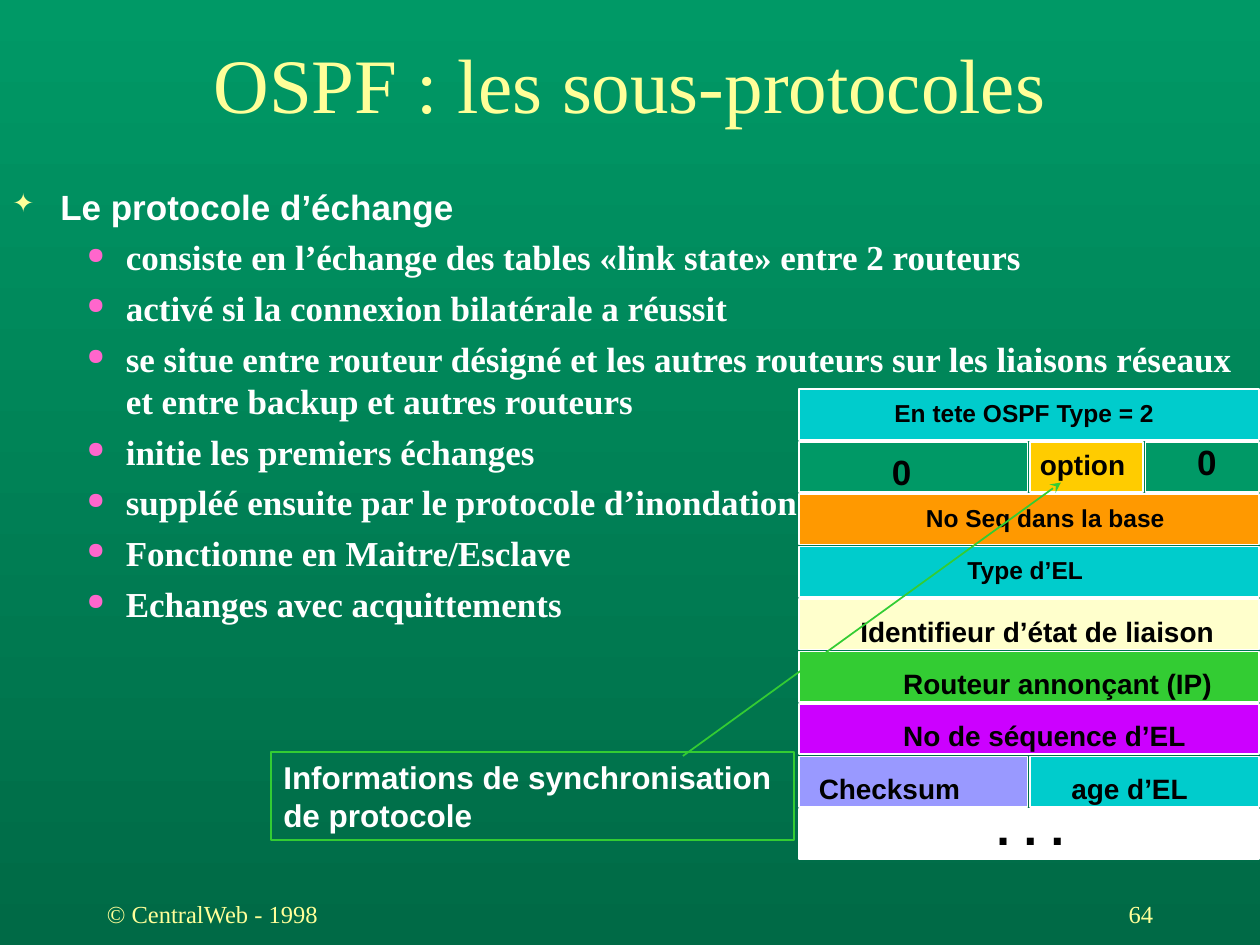
from dataclasses import dataclass

from lxml import etree
from pptx import Presentation
from pptx.dml.color import RGBColor
from pptx.enum.shapes import MSO_CONNECTOR, MSO_SHAPE
from pptx.enum.text import MSO_ANCHOR, PP_ALIGN
from pptx.oxml.ns import qn
from pptx.util import Inches, Pt

RECTANGLE = MSO_SHAPE.RECTANGLE
STRAIGHT = MSO_CONNECTOR.STRAIGHT
TOP, MIDDLE = MSO_ANCHOR.TOP, MSO_ANCHOR.MIDDLE
LEFT, CENTER, RIGHT = PP_ALIGN.LEFT, PP_ALIGN.CENTER, PP_ALIGN.RIGHT


@dataclass(frozen=True)
class Theme:
    """Colours, fonts and type sizes of the slide."""
    serif: str = "Times New Roman"
    sans: str = "Arial"
    cream: str = "FFFF99"
    white: str = "FFFFFF"
    black: str = "000000"
    pink: str = "FF66CC"
    green: str = "009966"
    dark_green: str = "006A46"
    bright_green: str = "33CC33"
    cyan: str = "00CCCC"
    gold: str = "FFCC00"
    orange: str = "FF9900"
    ivory: str = "FFFFCC"
    purple: str = "CC00FF"
    lavender: str = "9999FF"
    title: int = 44
    dots: int = 28
    body: int = 20
    callout: int = 18
    field: int = 16
    small: int = 14


THEME = Theme()

POINTS = [
    "consiste en l’échange des tables «link state» entre 2 routeurs",
    "activé si la connexion bilatérale a réussit",
    "se situe entre routeur désigné et les autres routeurs sur les liaisons réseaux "
    "et entre backup et autres routeurs",
    "initie les premiers échanges",
    "suppléé ensuite par le protocole d’inondation",
    "Fonctionne en Maitre/Esclave",
    "Echanges avec acquittements",
]

# Row, first quarter, quarters spanned, fill, text, size, label offset x, y
PACKET_FIELDS = [
    (0, 0, 4, THEME.cyan, "En tete OSPF Type = 2", THEME.small, 0.66, 0.02),
    (1, 0, 2, THEME.green, "0", THEME.body, 0.64, 0.02),
    (1, 2, 1, THEME.gold, "options", THEME.field, -0.02, 0),
    (1, 3, 1, THEME.green, "0", THEME.body, 0.31, -0.06),
    (2, 0, 4, THEME.orange, "No Seq dans la base", THEME.small, 0.91, 0.02),
    (3, 0, 4, THEME.cyan, "Type d’EL", THEME.small, 1.24, 0.02),
    (4, 0, 4, THEME.ivory, "Identifieur d’état de liaison", THEME.field, 0.39, 0.07),
    (5, 0, 4, THEME.bright_green, "Routeur annonçant (IP)", THEME.field, 0.73, 0.07),
    (6, 0, 4, THEME.purple, "No de séquence d’EL", THEME.field, 0.73, 0.07),
    (7, 0, 2, THEME.lavender, "Checksum d’El", THEME.field, 0.06, 0.07),
    (7, 2, 2, THEME.cyan, "age d’EL", THEME.field, 0.23, 0.07),
    (8, 0, 4, THEME.white, ". . .", THEME.dots, 1.47, -0.15),
]


def rgb(code):
    """Turn a hex code into a colour."""
    return RGBColor.from_string(code)


def write(frame, text, *, size, color, font=THEME.sans, bold=False, align=LEFT,
          anchor=TOP, wrap=True, bullet=None, before=0, more=False):
    """Write one paragraph into a frame, after the others if more is set."""
    frame.word_wrap = wrap
    frame.vertical_anchor = anchor
    paragraph = frame.add_paragraph() if more else frame.paragraphs[0]
    if bullet:
        add_bullet(paragraph, **bullet)
    paragraph.alignment = align
    if before:
        paragraph.space_before = Pt(before)
    run = paragraph.add_run()
    run.text = text
    run.font.size, run.font.name, run.font.bold = Pt(size), font, bold
    run.font.color.rgb = rgb(color)


def add_bullet(paragraph, char, color, percent, margin, hang):
    """Give a paragraph a coloured bullet and a hanging indent."""
    properties = paragraph._p.get_or_add_pPr()
    properties.set("marL", str(Inches(margin)))
    properties.set("indent", str(Inches(-hang)))
    tint = etree.SubElement(properties, qn("a:buClr"))
    etree.SubElement(tint, qn("a:srgbClr"), val=color)
    etree.SubElement(properties, qn("a:buSzPct"), val=str(percent * 1000))
    etree.SubElement(properties, qn("a:buChar"), char=char)


def add_label(slide, box, text, **text_format):
    """Place a text box holding one paragraph."""
    label = slide.shapes.add_textbox(*map(Inches, box))
    write(label.text_frame, text, **text_format)


def add_box(slide, box, line, fill=None):
    """Place an outlined rectangle, filled if a fill is given."""
    rectangle = slide.shapes.add_shape(RECTANGLE, *map(Inches, box))
    rectangle.shadow.inherit = False
    if fill:
        rectangle.fill.solid()
        rectangle.fill.fore_color.rgb = rgb(fill)
    else:
        rectangle.fill.background()
    rectangle.line.color.rgb = rgb(line)
    rectangle.line.width = Pt(1)
    return rectangle


def paint_background(slide):
    """Fill the background with a vertical green gradient."""
    fill = slide.background.fill
    fill.gradient()
    fill.gradient_angle = 270
    for stop, color, position in zip(fill.gradient_stops, (THEME.green, THEME.dark_green), (0, 1)):
        stop.color.rgb = rgb(color)
        stop.position = position


def add_outline(slide, box):
    """Place the heading and its bulleted points."""
    frame = slide.shapes.add_textbox(*map(Inches, box)).text_frame
    star = dict(char="✦", color=THEME.cream, percent=75, margin=0.38, hang=0.38)
    dot = dict(char="●", color=THEME.pink, percent=65, margin=0.9, hang=0.31)
    style = dict(size=THEME.body, color=THEME.white, bold=True)
    write(frame, "Le protocole d’échange", bullet=star, **style)
    for point in POINTS:
        write(frame, point, font=THEME.serif, bullet=dot, before=5, more=True, **style)


def add_packet(slide, box):
    """Draw the packet layout as rows of fields with their labels."""
    left, top, width, height = box
    row_height, gap = 0.4, 0.02
    pitch = (height - row_height) / PACKET_FIELDS[-1][0]
    quarter = (width + gap) / 4
    for row, start, span, fill, text, size, shift_x, shift_y in PACKET_FIELDS:
        x, y = left + start * quarter, top + row * pitch
        field_width = span * quarter - gap
        add_box(slide, (x, y, field_width, row_height), THEME.white, fill)
        label_box = (x + shift_x, y + shift_y, field_width - shift_x, 0.15 + size / 72 * 1.15)
        add_label(slide, label_box, text, size=size, color=THEME.black, bold=True, wrap=False)


def add_callout(slide, box, source, target):
    """Draw the framed remark and the arrow to the field it explains."""
    arrow = slide.shapes.add_connector(STRAIGHT, *map(Inches, (*target, *source)))
    arrow.line.color.rgb = rgb(THEME.bright_green)
    arrow.line.width = Pt(1)
    etree.SubElement(arrow.line._get_or_add_ln(), qn("a:headEnd"), type="stealth")
    etree.SubElement(arrow._element.spPr, qn("a:effectLst"))
    frame = add_box(slide, box, THEME.bright_green).text_frame
    style = dict(size=THEME.callout, color=THEME.white, bold=True, wrap=False)
    write(frame, "Informations de synchronisation", **style)
    write(frame, "de protocole", more=True, **style)


def add_footer(slide, box):
    """Place the copyright line and the page number at the two ends."""
    left, top, width, height = box
    part = 2.08
    style = dict(size=THEME.small, color=THEME.cream, font=THEME.serif, anchor=MIDDLE)
    add_label(slide, (left + width - part, top, part, height), "64", align=RIGHT, **style)
    add_label(slide, (left, top, part, height), "© CentralWeb - 1998", **style)


def main():
    """Build the slide and save it."""
    deck = Presentation()
    deck.slide_width, deck.slide_height = Inches(10), Inches(7.5)
    slide = deck.slides.add_slide(deck.slide_layouts[6])
    paint_background(slide)
    add_label(slide, (0, 0.31, 10, 0.69), "OSPF : les sous-protocoles", size=THEME.title,
              color=THEME.cream, font=THEME.serif, align=CENTER, anchor=MIDDLE)
    add_outline(slide, (0, 1.42, 9.92, 5.58))
    add_packet(slide, (6.34, 3.09, 3.65, 3.73))
    add_callout(slide, (2.15, 5.97, 4.15, 0.7), source=(5.42, 6), target=(8.42, 3.83))
    add_footer(slide, (0.75, 7, 8.5, 0.5))
    deck.save("out.pptx")


if __name__ == "__main__":
    main()
